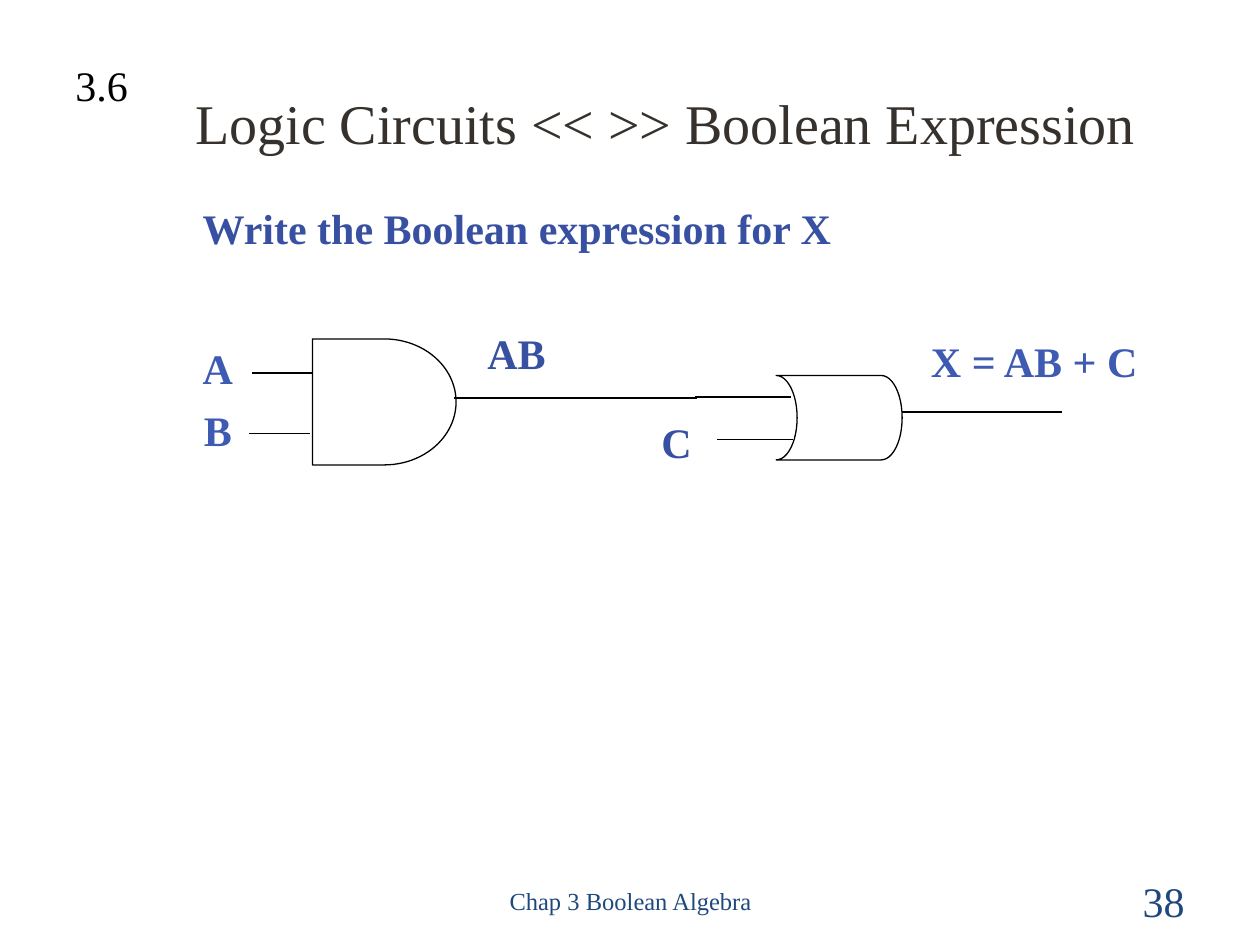
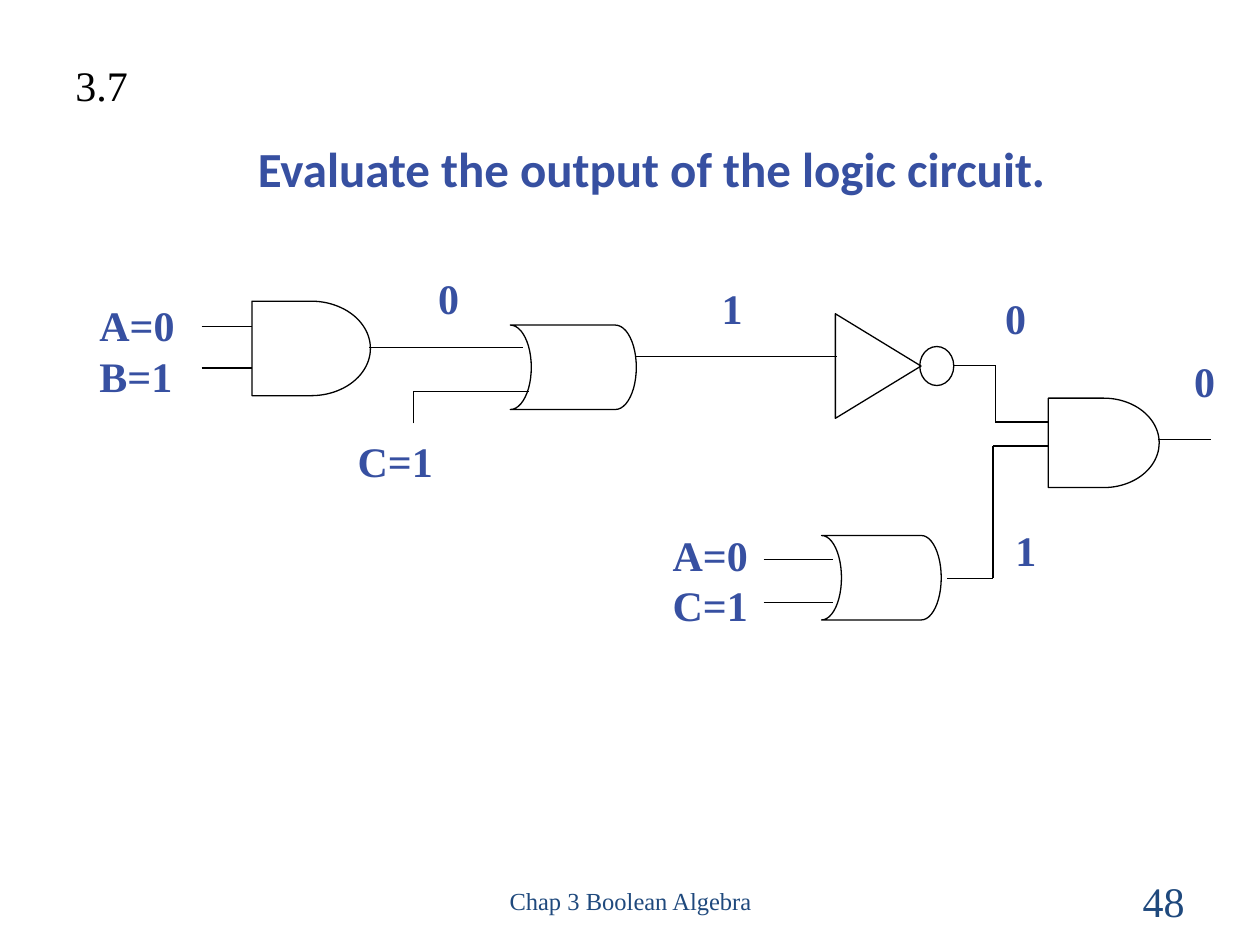
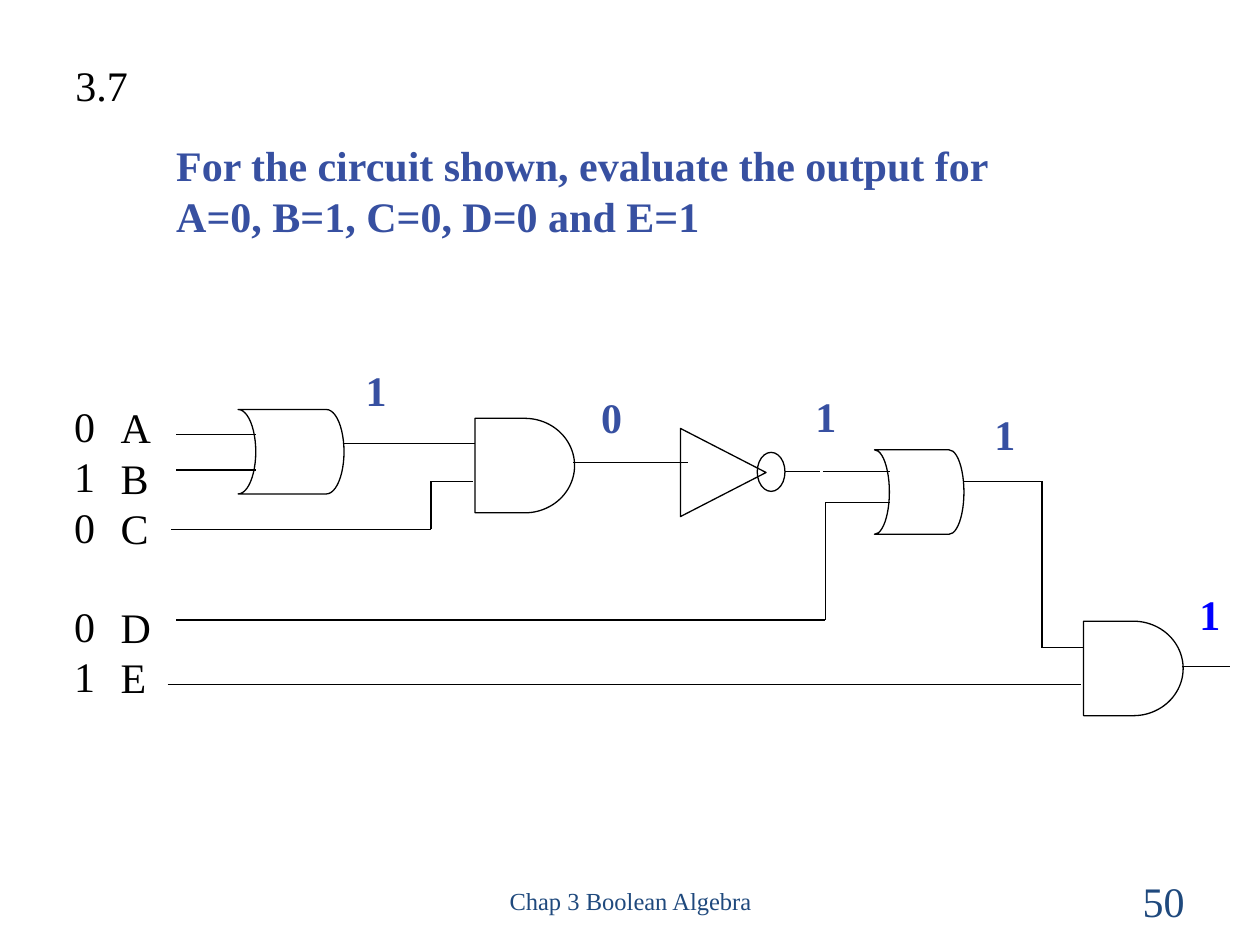
from dataclasses import dataclass
from itertools import pairwise

from lxml.etree import SubElement
from pptx import Presentation
from pptx.dml.color import RGBColor
from pptx.enum.shapes import MSO_CONNECTOR as Connector, MSO_SHAPE as Shape
from pptx.enum.text import MSO_ANCHOR as Anchor, PP_ALIGN as Align
from pptx.oxml.ns import qn
from pptx.util import Pt

EMU_PER_PX = 9144
COLORS = {
    "ink": "000000",
    "title": "36312C",
    "label": "3750A1",
    "signal": "3E5AB2",
    "result": "0000FF",
    "footer": "1F497D",
}
SERIF = "Times New Roman"
SANS = "Calibri"
LINE_WIDTH = 0.75
BLANK_LINE = 27.6


@dataclass
class Box:
    left: int
    top: int
    width: int
    height: int = 50

    def inner(self, left, top, width=37, height=50):
        return Box(self.left + left, self.top + top, width, height)

    def turned(self):
        shift = (self.width - self.height) / 2
        return Box(self.left + shift, self.top - shift, self.height, self.width)

    def emu(self):
        return [px(value) for value in (self.left, self.top, self.width, self.height)]


def px(value):
    return round(value * EMU_PER_PX)


def color(name):
    return RGBColor.from_string(COLORS[name])


def write(page, box, text, size=24, font=SERIF, tint="label", bold=True,
          align=Align.LEFT, anchor=Anchor.TOP, wrap=False, gap_before=None):
    frame = page.shapes.add_textbox(*box.emu()).text_frame
    frame.word_wrap = wrap
    frame.vertical_anchor = anchor
    for index, line in enumerate(text.split("\n")):
        para = frame.paragraphs[0] if index == 0 else frame.add_paragraph()
        para.alignment = align
        if index == gap_before:
            para.space_before = Pt(BLANK_LINE)
        span = para.add_run()
        span.text = line
        span.font.size = Pt(size)
        span.font.name = font
        span.font.bold = bold
        span.font.color.rgb = color(tint)


def outline(page, kind, box, rotation=0):
    shape = page.shapes.add_shape(kind, *box.emu())
    shape.rotation = rotation
    shape.shadow.inherit = False
    shape.fill.background()
    shape.line.color.rgb = color("ink")
    shape.line.width = Pt(LINE_WIDTH)


def and_gate(page, box):
    outline(page, Shape.FLOWCHART_DELAY, box)


def or_gate(page, box):
    outline(page, Shape.FLOWCHART_STORED_DATA, box, 180)


def inverter(page, box, bubble):
    outline(page, Shape.FLOWCHART_MERGE, box.turned(), 270)
    outline(page, Shape.OVAL, bubble)


def wire(page, box, *points):
    corners = [(px(box.left + x), px(box.top + y)) for x, y in points]
    for start, end in pairwise(corners):
        line = page.shapes.add_connector(Connector.STRAIGHT, *start, *end)
        line.line.color.rgb = color("ink")
        line.line.width = Pt(LINE_WIDTH)
        SubElement(line._element.spPr, qn("a:effectLst"))


def wires(page, box, routes):
    for route in routes:
        wire(page, box, *route)


def add_page(deck, section, number):
    page = deck.slides.add_slide(deck.slide_layouts[6])
    footer = {"tint": "footer", "bold": False, "anchor": Anchor.MIDDLE, "wrap": True}
    write(page, Box(342, 695, 317, 40), "Chap 3 Boolean Algebra",
          size=14, align=Align.CENTER, **footer)
    write(page, Box(717, 695, 233, 40), number, align=Align.RIGHT, **footer)
    write(page, Box(50, 42, 62), section, tint="ink", bold=False)
    return page


def expression_circuit(page, box):
    and_gate(page, box.inner(98, 19, 114, 100))
    or_gate(page, box.inner(466, 48, 100, 67))
    wires(page, box, [
        [(50, 46), (98, 46)],
        [(48, 94), (96, 94)],
        [(210, 66), (265, 66), (403, 66)],
        [(402, 65), (478, 65)],
        [(419, 99), (479, 99)],
        [(566, 77), (693, 77)],
    ])
    write(page, box.inner(1, 17, 44), "A", tint="signal")
    write(page, box.inner(2, 66, 42), "B", tint="signal")
    write(page, box.inner(365, 76, 44), "C")
    write(page, box.inner(227, 5, 66), "AB")
    write(page, box.inner(579, 11, 186), "X = AB + C", tint="signal")


def two_branch_circuit(page, box):
    and_gate(page, box.inner(150, 39, 94, 75))
    or_gate(page, box.inner(355, 58, 100, 67))
    inverter(page, box.inner(613, 49, 68, 83), box.inner(680, 75, 27, 31))
    or_gate(page, box.inner(602, 225, 95, 67))
    and_gate(page, box.inner(782, 116, 88, 71))
    wires(page, box, [
        [(110, 59), (150, 59)],
        [(110, 92), (150, 92)],
        [(243, 76), (288, 76), (365, 76)],
        [(278, 136), (278, 111), (370, 111)],
        [(455, 83), (540, 83), (614, 83)],
        [(707, 90), (740, 90), (740, 135), (782, 135)],
        [(556, 244), (611, 244)],
        [(556, 278), (611, 278)],
        [(702, 259), (738, 259), (738, 154), (782, 154)],
        [(869, 149), (911, 149)],
    ])
    write(page, box.inner(19, 33, 85, 90), "A=0\nB=1", wrap=True)
    write(page, box.inner(224, 141, 132), "C=1", wrap=True)
    write(page, box.inner(474, 215, 136, 90), "A=0\nC=1", wrap=True)
    for left, top, value in [(288, 11, "0"), (513, 19, "1"), (738, 27, "0"),
                             (746, 211, "1"), (888, 77, "0")]:
        write(page, box.inner(left, top), value)


def five_input_circuit(page, box):
    or_gate(page, box.inner(149, 45, 84, 67))
    and_gate(page, box.inner(337, 52, 79, 75))
    inverter(page, box.inner(500, 60, 68, 70), box.inner(561, 79, 22, 31))
    or_gate(page, box.inner(654, 77, 71, 67))
    and_gate(page, box.inner(820, 213, 79, 75))
    wires(page, box, [
        [(100, 65), (163, 65)],
        [(100, 93), (163, 93)],
        [(232, 72), (304, 72), (337, 72)],
        [(96, 140), (302, 140), (302, 102), (335, 102)],
        [(415, 87), (453, 87), (506, 87)],
        [(583, 94), (611, 94)],
        [(613, 94), (666, 94)],
        [(100, 212), (615, 212), (615, 119), (666, 119)],
        [(725, 102), (787, 102), (787, 234), (820, 234)],
        [(93, 263), (785, 263), (818, 263)],
        [(898, 249), (936, 249)],
    ])
    inputs = {"tint": "ink", "bold": False, "gap_before": 3}
    write(page, box.inner(9, 33, 37, 250), "0\n1\n0\n0\n1", **inputs)
    write(page, box.inner(46, 34, 44, 250), "A\nB\nC\nD\nE", **inputs)
    for left, top, value in [(235, 4, "1"), (422, 26, "0"),
                             (592, 25, "1"), (734, 39, "1")]:
        write(page, box.inner(left, top, 47), value, align=Align.CENTER, wrap=True)
    write(page, box.inner(902, 182), "1", tint="result")


def main():
    deck = Presentation()
    deck.slide_width, deck.slide_height = px(1000), px(750)

    page = add_page(deck, "3.6", "38")
    write(page, Box(136, 65, 785, 63), "Logic Circuits << >> Boolean Expression",
          size=32, tint="title", bold=False, align=Align.CENTER, wrap=True)
    write(page, Box(151, 156, 618), "Write the Boolean expression for X", wrap=True)
    expression_circuit(page, Box(150, 250, 800, 150))

    page = add_page(deck, "3.7", "48")
    write(page, Box(113, 100, 808, 67), "Evaluate the output of the logic circuit.",
          size=28, font=SANS, align=Align.CENTER, anchor=Anchor.MIDDLE, wrap=True)
    two_branch_circuit(page, Box(50, 200, 930, 310))

    page = add_page(deck, "3.7", "50")
    write(page, Box(130, 106, 675, 90),
          "For the circuit shown, evaluate the output for\nA=0, B=1, C=0, D=0 and E=1")
    five_input_circuit(page, Box(40, 280, 940, 300))

    deck.save("out.pptx")


if __name__ == "__main__":
    main()
